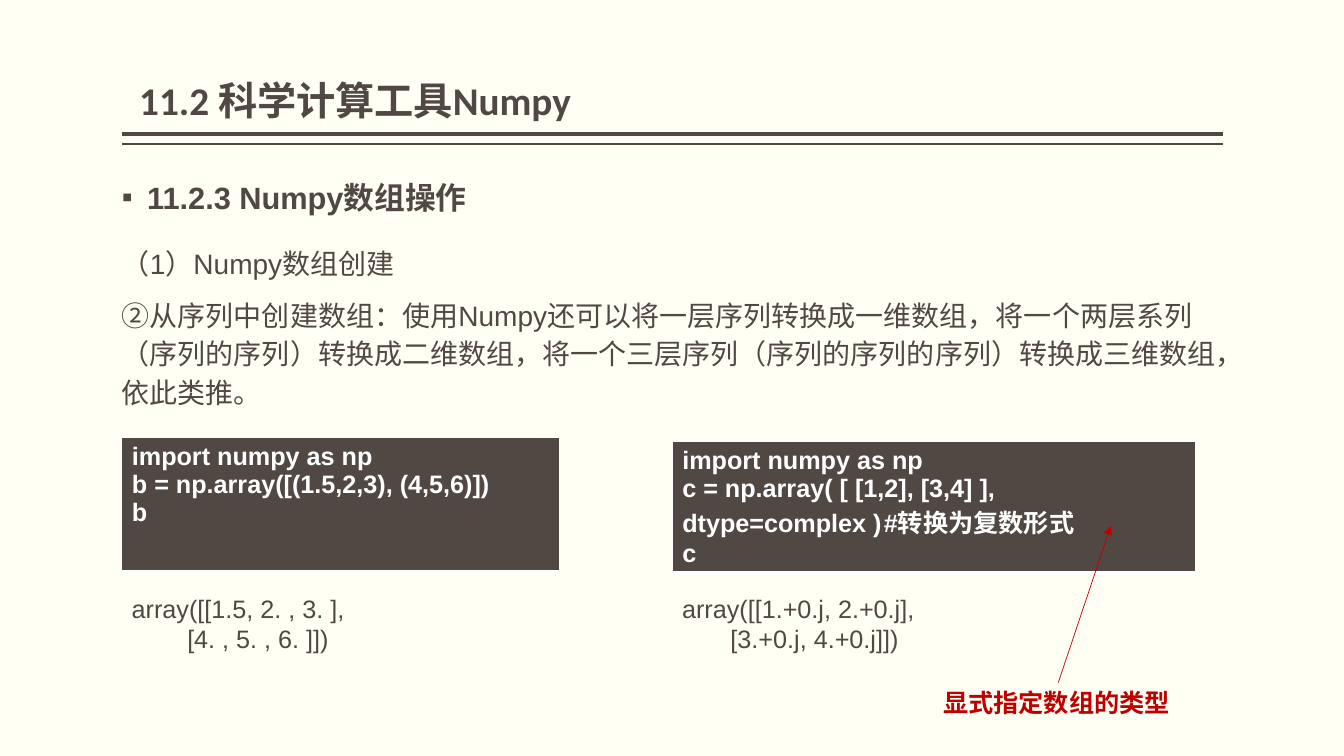
from dataclasses import dataclass

from lxml import etree
from pptx import Presentation
from pptx import util as u
from pptx.dml.color import RGBColor
from pptx.enum import shapes, text
from pptx.oxml import ns

BROWN = RGBColor(0x51, 0x48, 0x43)
CREAM = RGBColor(0xFF, 0xFF, 0xF3)
WHITE = RGBColor(0xFF, 0xFF, 0xFF)
RED = RGBColor(0xC0, 0x00, 0x00)
LEFT, RIGHT = 3.07, 30.81
HAN = "Noto Sans CJK SC"
JUST = text.PP_ALIGN.JUSTIFY


@dataclass
class Para:
    words: str
    size: float = 18
    bold: bool = False
    color: RGBColor = BROWN
    face: str = "Arial"
    space: float = 1.0
    before: float = 0
    align: text.PP_ALIGN = text.PP_ALIGN.LEFT
    margin: float = 0
    bullet: str = ""
    tab: float = 0


@dataclass
class Box:
    left: float
    top: float
    width: float
    height: float
    paras: list[Para]
    side: float = 0.25
    wrap: bool = True
    anchor: text.MSO_ANCHOR = text.MSO_ANCHOR.TOP


@dataclass
class Rule:
    start: tuple[float, float]
    end: tuple[float, float]
    color: RGBColor
    weight: float
    arrow: bool = False


def code(*lines: str, tab: float = 0) -> list[Para]:
    return [Para(line, bold=True, color=WHITE, tab=tab if "\t" in line else 0) for line in lines]


def add(node, tag: str, **attrs: str):
    return etree.SubElement(node, ns.qn(tag), attrs)


def assign(item, values: dict) -> None:
    for key, value in values.items():
        setattr(item, key, value)


def write(frame, paras: list[Para]) -> None:
    for index, para in enumerate(paras):
        line = frame.paragraphs[0] if index == 0 else frame.add_paragraph()
        assign(line, {"alignment": para.align, "line_spacing": para.space,
                      "space_before": u.Pt(para.before)})
        props = line._p.get_or_add_pPr()
        props.set("marL", str(u.Cm(para.margin)))
        props.set("indent", str(-u.Cm(para.margin) if para.bullet else 0))
        if para.bullet:
            add(props, "a:buFont", typeface="Arial")
            add(props, "a:buChar", char=para.bullet)
        if para.tab:
            stops = add(props, "a:tabLst")
            add(stops, "a:tab", pos=str(u.Cm(para.tab)), algn="l")
        run = line.add_run()
        run.text = para.words
        assign(run.font, {"size": u.Pt(para.size), "bold": para.bold, "name": para.face})
        run.font.color.rgb = para.color
        add(run._r.get_or_add_rPr(), "a:ea", typeface=HAN)


def draw_box(slide, box: Box) -> None:
    shape = slide.shapes.add_textbox(*map(u.Cm, (box.left, box.top, box.width, box.height)))
    assign(shape.text_frame, {"word_wrap": box.wrap, "vertical_anchor": box.anchor,
                              "margin_left": u.Cm(box.side), "margin_right": u.Cm(box.side)})
    write(shape.text_frame, box.paras)


def draw_code(slide, box: Box) -> None:
    frame = slide.shapes.add_table(1, 1, *map(u.Cm, (box.left, box.top, box.width, box.height)))
    assign(frame.table, {"first_row": False, "horz_banding": False})
    cell = frame.table.cell(0, 0)
    write(cell.text_frame, box.paras)
    cell.fill.solid()
    cell.fill.fore_color.rgb = BROWN
    props = cell._tc.get_or_add_tcPr()
    for index, (edge, weight) in enumerate((("L", 1), ("R", 1), ("T", 1), ("B", 3))):
        line = add(props, f"a:ln{edge}", w=str(u.Pt(weight)))
        add(add(line, "a:solidFill"), "a:srgbClr", val=str(WHITE))
        props.insert(index, line)


def draw_rule(slide, rule: Rule) -> None:
    line = slide.shapes.add_connector(
        shapes.MSO_CONNECTOR.STRAIGHT, *map(u.Cm, rule.start + rule.end))
    line.line.color.rgb = rule.color
    line.line.width = u.Pt(rule.weight)
    if rule.arrow:
        add(line.line._get_or_add_ln(), "a:tailEnd", type="triangle")
    add(line._element.spPr, "a:effectLst")


RULES = [
    Rule((LEFT, 3.38), (RIGHT, 3.38), BROWN, 3),
    Rule((LEFT, 3.63), (RIGHT, 3.63), BROWN, 1),
    Rule((26.67, 17.2), (27.99, 13.26), RED, 0.5, True),
]

CODES = [
    Box(LEFT, 11.02, 11.02, 3.4,
        code("import numpy as np", "b = np.array([(1.5,2,3), (4,5,6)])", "b")),
    Box(16.94, 11.13, 13.18, 3.3,
        code("import numpy as np",
             "c = np.array( [ [1,2], [3,4] ], dtype=complex )\t#转换为复数形式", "c", tab=5.92)),
]

BOXES = [
    Box(3.51, 0.2, 27.74, 3.05,
        [Para("11.2 科学计算工具Numpy", 28, True, face="Calibri", space=0.9)],
        side=0, anchor=text.MSO_ANCHOR.BOTTOM),
    Box(LEFT, 3.91, 27.74, 7.06, [
        Para("11.2.3 Numpy数组操作", 22, True, space=1.5, before=10, align=JUST,
             margin=0.64, bullet="▪"),
        Para("（1）Numpy数组创建", 20, space=1.5, before=10, align=JUST),
        Para("②从序列中创建数组：使用Numpy还可以将一层序列转换成一维数组，将一个两层系列"
             "（序列的序列）转换成二维数组，将一个三层序列（序列的序列的序列）转换成三维数组，"
             "依此类推。", 20, space=1.14, before=10),
    ], side=0),
    Box(LEFT, 14.83, 7.98, 1.8,
        [Para("array([[1.5, 2. , 3. ],"), Para("[4. , 5. , 6. ]])", margin=1.4)]),
    Box(16.94, 14.83, 8.97, 1.8,
        [Para("array([[1.+0.j, 2.+0.j],"), Para("[3.+0.j, 4.+0.j]])", margin=1.22)]),
    Box(23.52, 17.2, 6.27, 1.02,
        [Para("显式指定数组的类型", bold=True, color=RED, face="Times New Roman")], wrap=False),
]


def main() -> None:
    deck = Presentation()
    assign(deck, {"slide_width": u.Cm(33.87), "slide_height": u.Cm(19.05)})
    slide = deck.slides.add_slide(deck.slide_layouts[6])
    slide.background.fill.solid()
    slide.background.fill.fore_color.rgb = CREAM
    for box in BOXES:
        draw_box(slide, box)
    for box in CODES:
        draw_code(slide, box)
    for rule in RULES:
        draw_rule(slide, rule)
    deck.save("out.pptx")


if __name__ == "__main__":
    main()
